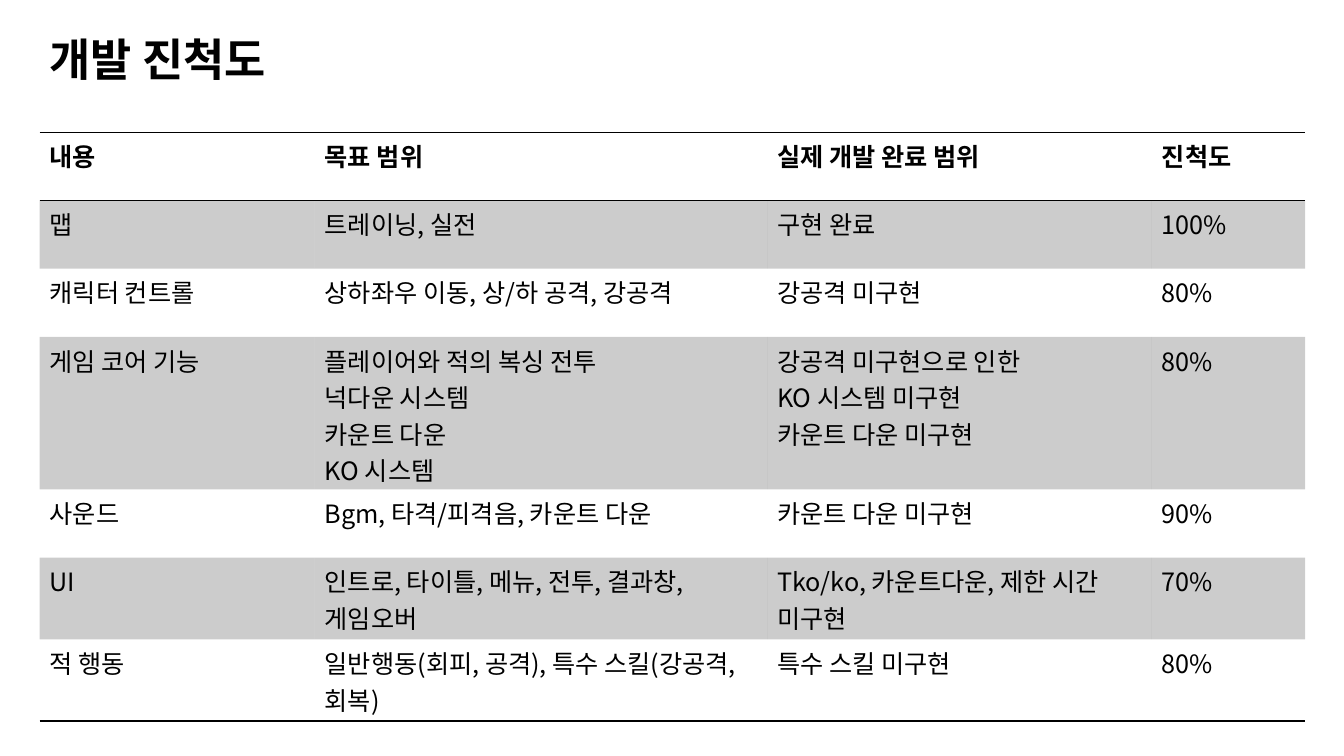
from dataclasses import dataclass

from lxml.etree import SubElement
from pptx import Presentation
from pptx.dml.color import RGBColor as RGB
from pptx.enum.text import MSO_ANCHOR as Anchor, MSO_AUTO_SIZE as AutoSize, PP_ALIGN as Align
from pptx.oxml import parse_xml
from pptx.oxml.ns import nsdecls, qn
from pptx.util import Cm, Pt


@dataclass(frozen=True)
class Theme:
    font: str = "Noto Sans CJK KR"
    ink: str = "000000"
    band_opacity: int = 20
    title_size: int = 32
    body_size: int = 18
    rule_width: int = 1
    table_style: str = "{2D5ABB26-0587-4C30-8999-92F81FD0307C}"


COLUMNS = [6.93, 11.4, 9.7, 3.86]
ROW_HEIGHTS = [1.72, 1.72, 1.72, 3.84, 1.72, 2.06, 2.06]
PROGRESS = [
    ["내용", "목표 범위", "실제 개발 완료 범위", "진척도"],
    ["맵", "트레이닝, 실전", "구현 완료", "100%"],
    ["캐릭터 컨트롤", "상하좌우 이동, 상/하 공격, 강공격", "강공격 미구현", "80%"],
    ["게임 코어 기능", "플레이어와 적의 복싱 전투\n넉다운 시스템\n카운트 다운\nKO 시스템",
     "강공격 미구현으로 인한\nKO 시스템 미구현\n카운트 다운 미구현", "80%"],
    ["사운드", "Bgm, 타격/피격음, 카운트 다운", "카운트 다운 미구현", "90%"],
    ["UI", "인트로, 타이틀, 메뉴, 전투, 결과창, 게임오버",
     "Tko/ko, 카운트다운, 제한 시간 미구현", "70%"],
    ["적 행동", "일반행동(회피, 공격), 특수 스킬(강공격, 회복)", "특수 스킬 미구현", "80%"],
]


def write(tf, text, *, font, size, color, bold=False, align=Align.LEFT):
    """Fill a text frame, one paragraph per line of text."""
    for i, line in enumerate(text.split("\n")):
        p = tf.paragraphs[0] if i == 0 else tf.add_paragraph()
        p.alignment = align
        r = p.add_run()
        r.text = line
        r.font.name, r.font.size, r.font.bold = font, Pt(size), bold
        r.font.color.rgb = RGB.from_string(color)
        SubElement(r.font._element, qn("a:ea"), typeface=font)


class SlideBuilder:
    def __init__(self, prs, theme):
        self.theme = theme
        self.s = prs.slides.add_slide(prs.slide_layouts[5])

    def title(self, text, left, top, width, height):
        sp = self.s.shapes.title
        sp.left, sp.top, sp.width, sp.height = map(Cm, (left, top, width, height))
        tf = sp.text_frame
        tf.word_wrap = False
        tf.auto_size = AutoSize.SHAPE_TO_FIT_TEXT
        tf.vertical_anchor = Anchor.TOP
        write(tf, text, font=self.theme.font, size=self.theme.title_size,
              color=self.theme.ink, bold=True)

    def table(self, rows, left, top, widths, heights):
        frame = self.s.shapes.add_table(len(rows), len(widths), Cm(left), Cm(top),
                                        Cm(sum(widths)), Cm(sum(heights)))
        table = frame.table
        table.horz_banding = False
        table._tbl.tblPr.find(qn("a:tableStyleId")).text = self.theme.table_style
        for column, width in zip(table.columns, widths):
            column.width = Cm(width)
        for i, (texts, height) in enumerate(zip(rows, heights)):
            table.rows[i].height = Cm(height)
            sides = "TB" if i == 0 else "B" if i == len(rows) - 1 else ""
            for cell, text in zip(table.rows[i].cells, texts):
                write(cell.text_frame, text, font=self.theme.font,
                      size=self.theme.body_size, color=self.theme.ink, bold=i == 0)
                self.rule(cell, sides)
                self.band(cell, shaded=i % 2 == 1)

    def rule(self, cell, sides):
        """Draw lines on the given sides of a cell: T for top, B for bottom."""
        tcPr = cell._tc.get_or_add_tcPr()
        for side in sides:
            tcPr.append(parse_xml(
                f'<a:ln{side} {nsdecls("a")} w="{Pt(self.theme.rule_width)}"><a:solidFill>'
                f'<a:srgbClr val="{self.theme.ink}"/></a:solidFill></a:ln{side}>'))

    def band(self, cell, shaded):
        if not shaded:
            cell.fill.background()
            return
        cell.fill.solid()
        cell.fill.fore_color.rgb = RGB.from_string(self.theme.ink)
        color = cell._tc.tcPr.find(qn("a:solidFill"))[0]
        SubElement(color, qn("a:alpha"), val=str(self.theme.band_opacity * 1000))


def main():
    prs = Presentation()
    prs.slide_width, prs.slide_height = Cm(33.87), Cm(19.05)
    slide = SlideBuilder(prs, Theme())
    slide.title("개발 진척도", 1, 0.66, 6.6, 1.63)
    slide.table(PROGRESS, 1, 3.33, COLUMNS, ROW_HEIGHTS)
    prs.save("out.pptx")


if __name__ == "__main__":
    main()
